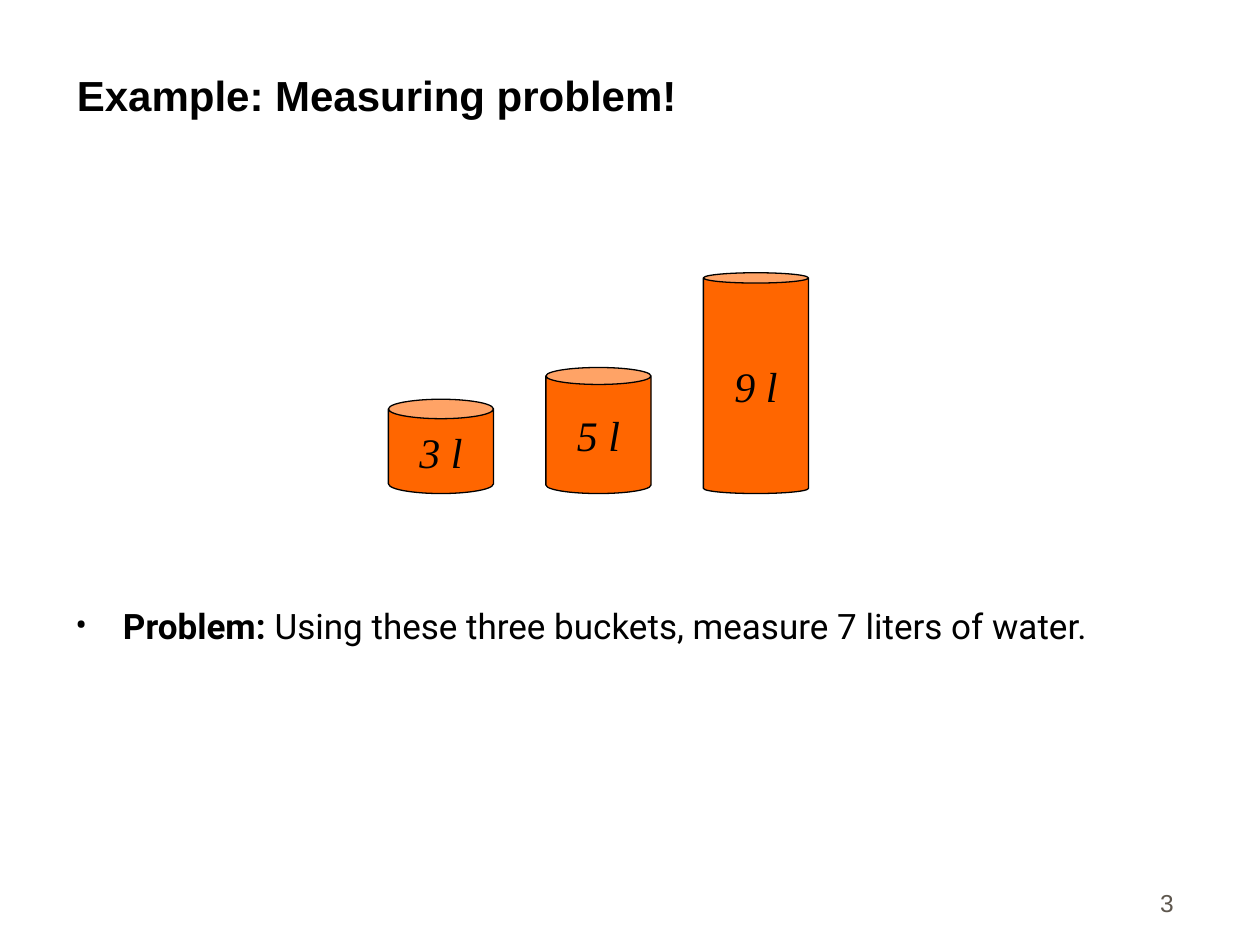
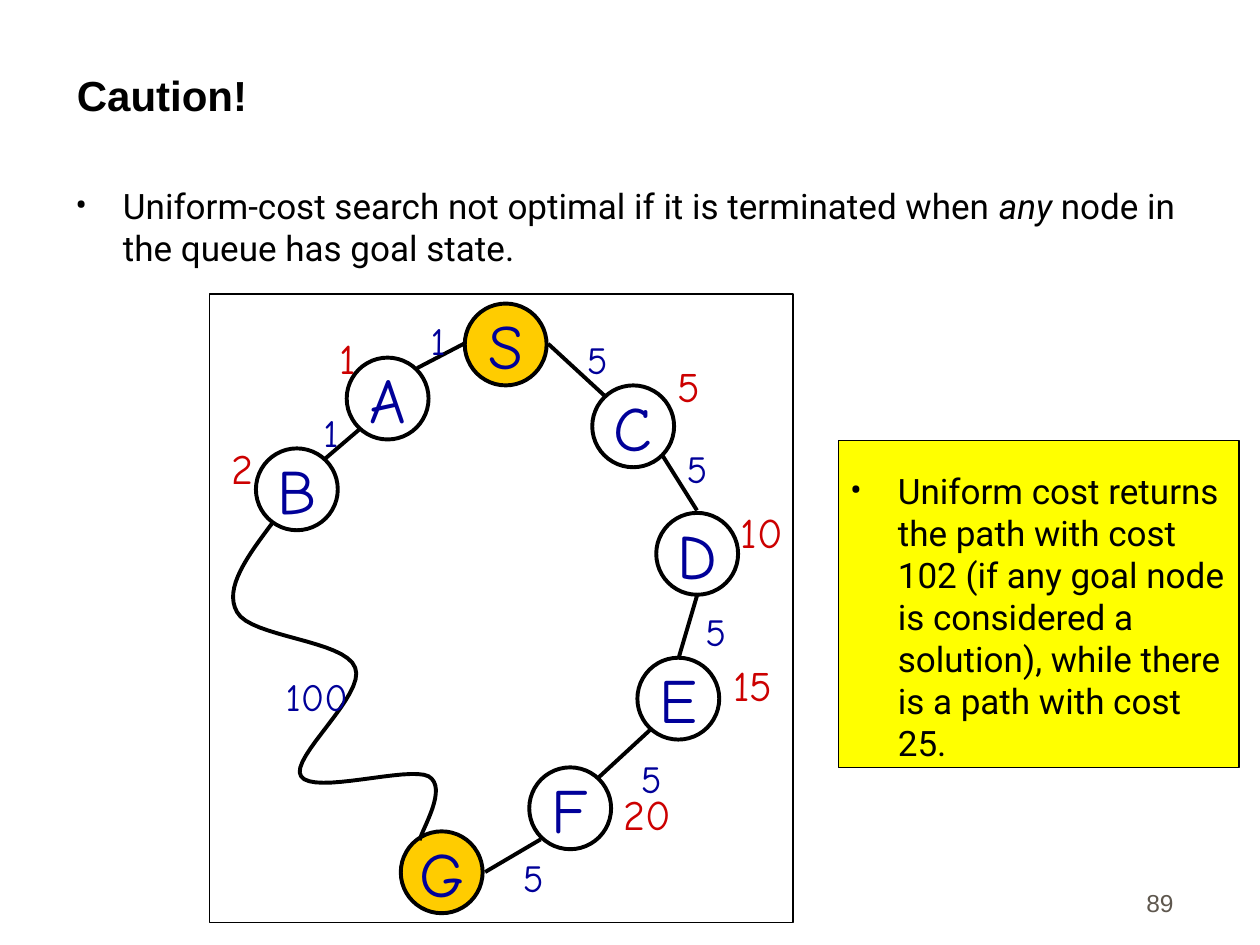
"""Build two search-lecture slides: the bucket measuring problem and a uniform-cost search caution."""
import lxml.etree
import pptx
import pptx.dml.color
import pptx.enum.shapes
import pptx.enum.text
import pptx.oxml.ns
import pptx.util

Cm, Pt = pptx.util.Cm, pptx.util.Pt
qn = pptx.oxml.ns.qn
SHAPES = pptx.enum.shapes.MSO_SHAPE
ALIGN = pptx.enum.text.PP_ALIGN
ANCHOR = pptx.enum.text.MSO_ANCHOR

COLORS = {
    "black": "000000", "white": "FFFFFF", "bucket": "FF6600", "endpoint": "FFCC00",
    "note": "FFFF00", "ink": "000099", "total": "CC0000", "page": "5E574E",
}
LABEL_FRAME = {"word_wrap": False, "vertical_anchor": ANCHOR.TOP,
               "auto_size": pptx.enum.text.MSO_AUTO_SIZE.SHAPE_TO_FIT_TEXT}
STYLES = {
    "title": {"font": {"name": "Arial", "size": Pt(24), "bold": True}, "color": "black",
              "frame": {"word_wrap": True, "vertical_anchor": ANCHOR.BOTTOM}, "paragraph": {}},
    "body": {"font": {"name": "Roboto", "size": Pt(20)}, "color": "black",
             "frame": {"word_wrap": True, "vertical_anchor": ANCHOR.TOP},
             "paragraph": {"space_before": Pt(5)}, "bullet": "•"},
    "page": {"font": {"name": "Arial", "size": Pt(14)}, "color": "page",
             "frame": {"word_wrap": True, "vertical_anchor": ANCHOR.BOTTOM},
             "paragraph": {"alignment": ALIGN.RIGHT, "space_before": Pt(8.8)}},
    "bucket": {"font": {"name": "Times New Roman", "size": Pt(24), "italic": True}, "color": "black",
               "frame": {"word_wrap": False, "vertical_anchor": ANCHOR.MIDDLE},
               "paragraph": {"alignment": ALIGN.CENTER}},
    "node": {"font": {"name": "Comic Neue", "size": Pt(36)}, "color": "ink",
             "frame": {"word_wrap": False, "vertical_anchor": ANCHOR.MIDDLE},
             "paragraph": {"alignment": ALIGN.CENTER}},
    "step": {"font": {"name": "Comic Neue", "size": Pt(22)}, "color": "ink",
             "frame": LABEL_FRAME, "paragraph": {}},
    "total": {"font": {"name": "Comic Neue", "size": Pt(24)}, "color": "total",
              "frame": LABEL_FRAME, "paragraph": {}},
}


def write(shape, style_name, *runs):
    """Fill a shape with one paragraph of (text, font overrides) runs."""
    style = STYLES[style_name]
    frame = shape.text_frame
    paragraph = frame.paragraphs[0]
    for target, values in ((frame, style["frame"]), (paragraph, style["paragraph"])):
        for key, value in values.items():
            setattr(target, key, value)
    if "bullet" in style:
        properties = paragraph._p.get_or_add_pPr()
        properties.set("marL", str(Cm(0.96)))
        properties.set("indent", str(-Cm(0.96)))
        lxml.etree.SubElement(properties, qn("a:buFont")).set("typeface", style["font"]["name"])
        lxml.etree.SubElement(properties, qn("a:buChar")).set("char", style["bullet"])
    for text, overrides in runs:
        run = paragraph.add_run()
        run.text = text
        for key, value in {**style["font"], **overrides}.items():
            setattr(run.font, key, value)
        run.font.color.rgb = pptx.dml.color.RGBColor.from_string(COLORS[style["color"]])


def paint(shape, fill, width):
    """Give a shape a black outline and a plain fill, or no fill."""
    shape.shadow.inherit = False
    shape.line.color.rgb = pptx.dml.color.RGBColor.from_string(COLORS["black"])
    shape.line.width = Pt(width)
    if fill:
        shape.fill.solid()
        shape.fill.fore_color.rgb = pptx.dml.color.RGBColor.from_string(COLORS[fill])
    else:
        shape.fill.background()


presentation = pptx.Presentation()
presentation.slide_width, presentation.slide_height = Cm(25.4), Cm(19.05)

slides = []
for title, page_number in (("Example: Measuring problem!", "3"), ("Caution!", "89")):
    slide = presentation.slides.add_slide(presentation.slide_layouts[6])
    write(slide.shapes.add_textbox(Cm(1.3), Cm(0.64), Cm(22.66), Cm(1.9)), "title", (title, {}))
    write(slide.shapes.add_textbox(Cm(18.62), Cm(17.35), Cm(5.29), Cm(1.27)), "page", (page_number, {}))
    slides.append(slide)
measuring, caution = slides

body = measuring.shapes.add_textbox(Cm(1.27), Cm(12.06), Cm(22.7), Cm(1.9))
write(body, "body", ("Problem:", {"bold": True}),
      (" Using these three buckets, measure 7 liters of water.", {}))

buckets = (("3 l", 1.9, 0.206), ("5 l", 2.54, 0.161), ("9 l", 4.45, 0.098))
bucket_bottom = 9.95
for index, (volume, height, rim) in enumerate(buckets):
    bucket = measuring.shapes.add_shape(
        SHAPES.CAN, Cm(7.83 + index * 3.175), Cm(bucket_bottom - height), Cm(2.12), Cm(height))
    bucket.adjustments[0] = rim
    paint(bucket, "bucket", 0.75)
    write(bucket, "bucket", (volume, {}))

body = caution.shapes.add_textbox(Cm(1.27), Cm(3.6), Cm(22.7), Cm(2))
write(body, "body", ("Uniform-cost search not optimal if it is terminated when ", {}),
      ("any", {"italic": True}), (" node in the queue has goal state.", {}))

graph_frame = caution.shapes.add_shape(SHAPES.RECTANGLE, Cm(4.23), Cm(5.93), Cm(11.76), Cm(12.67))
paint(graph_frame, "white", 0.75)

nodes = (
    ("S", 9.37, 6.12), ("A", 6.99, 7.21), ("B", 5.16, 9.04), ("C", 11.94, 7.77),
    ("D", 13.23, 10.34), ("E", 12.85, 13.26), ("F", 10.67, 15.47), ("G", 8.08, 16.76),
)
for name, left, top in nodes:
    node = caution.shapes.add_shape(SHAPES.OVAL, Cm(left), Cm(top), Cm(1.65), Cm(1.65))
    paint(node, "endpoint" if name in "SG" else "white", 2.25)
    write(node, "node", (name, {}))

edges = (
    (9.35, 6.93, 8.41, 7.42), (7.24, 8.66, 6.55, 9.25), (11.05, 6.93, 12.19, 7.98),
    (13.36, 9.19, 14.05, 10.29), (14.05, 12.01, 13.69, 13.23),
    (13.11, 14.71, 12.07, 15.67), (10.9, 16.92, 9.78, 17.58),
)
for ends in edges:
    edge = caution.shapes.add_connector(
        pptx.enum.shapes.MSO_CONNECTOR.STRAIGHT, *[Cm(value) for value in ends])
    edge.line.color.rgb = pptx.dml.color.RGBColor.from_string(COLORS["black"])
    edge.line.width = Pt(2.25)
    lxml.etree.SubElement(edge._element.spPr, qn("a:effectLst"))

long_path_start = (5.51, 10.52)
long_path_curves = (
    ((5, 11.2), (4.5, 11.86), (4.78, 12.34)),
    ((5.05, 12.85), (6.96, 12.9), (7.16, 13.46)),
    ((7.39, 14), (5.82, 15.29), (6.07, 15.65)),
    ((6.32, 16.03), (8.23, 15.44), (8.64, 15.65)),
    ((9.04, 15.88), (8.51, 16.71), (8.46, 16.94)),
)
samples = 16
start = long_path_start
points = []
for control_1, control_2, end in long_path_curves:
    for step in range(1, samples + 1):
        t = step / samples
        weights = ((1 - t) ** 3, 3 * t * (1 - t) ** 2, 3 * t ** 2 * (1 - t), t ** 3)
        corners = (start, control_1, control_2, end)
        points.append([Cm(sum(weight * corner[axis] for weight, corner in zip(weights, corners)))
                       for axis in (0, 1)])
    start = end
builder = caution.shapes.build_freeform(Cm(long_path_start[0]), Cm(long_path_start[1]))
builder.add_line_segments(points, close=False)
paint(builder.convert_to_shape(), None, 2.25)

costs = {
    "step": (("1", 8.43, 6.27, 0.81), ("1", 6.27, 8.13, 0.81), ("100", 5.51, 13.44, 1.75),
             ("5", 11.58, 6.65, 0.91), ("5", 13.59, 8.84, 0.91), ("5", 13.97, 12.14, 0.91),
             ("5", 12.67, 15.09, 0.91), ("5", 10.29, 17.09, 0.91)),
    "total": (("1", 6.6, 6.58, 0.84), ("2", 4.42, 8.79, 0.94), ("5", 13.41, 7.14, 0.97),
              ("10", 14.68, 10.08, 1.37), ("15", 14.53, 13.18, 1.32), ("20", 12.32, 15.77, 1.5)),
}
for style_name, labels in costs.items():
    for cost, left, top, width in labels:
        label = caution.shapes.add_textbox(Cm(left), Cm(top), Cm(width), Cm(1.2))
        write(label, style_name, (cost, {}))

note_box = caution.shapes.add_shape(SHAPES.RECTANGLE, Cm(16.9), Cm(8.88), Cm(8.08), Cm(6.6))
paint(note_box, "note", 0.75)
note = caution.shapes.add_textbox(Cm(16.89), Cm(9.34), Cm(8.08), Cm(5.69))
write(note, "body", ("Uniform cost returns the path with cost 102 (if any goal node is considered "
                     "a solution), while there is a path with cost 25.", {}))

presentation.save("out.pptx")
